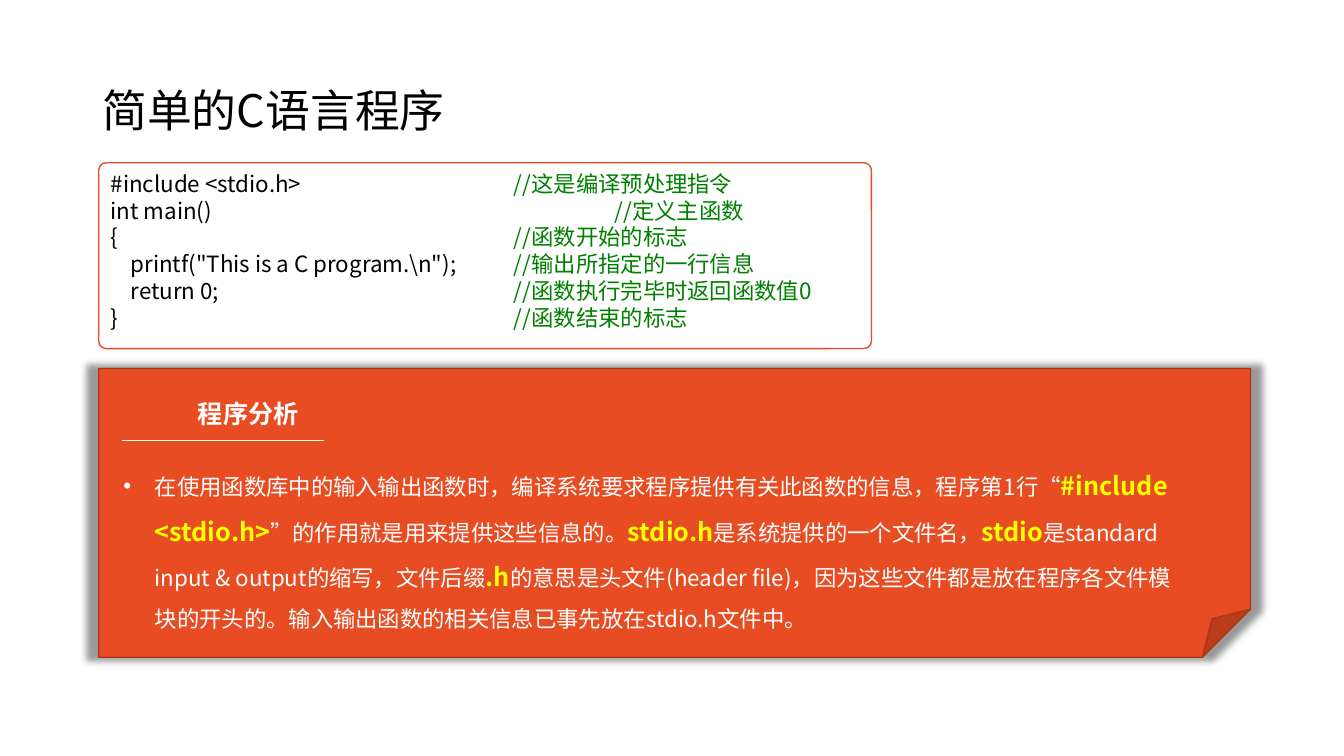
from dataclasses import dataclass
from typing import Optional

from lxml import etree
from pptx import Presentation
from pptx.dml.color import RGBColor
from pptx.enum.shapes import MSO_CONNECTOR, MSO_SHAPE
from pptx.enum.text import MSO_ANCHOR, PP_ALIGN
from pptx.oxml.ns import qn
from pptx.util import Emu, Pt

ROUNDED, FOLDED = MSO_SHAPE.ROUNDED_RECTANGLE, MSO_SHAPE.FOLDED_CORNER
STRAIGHT = MSO_CONNECTOR.STRAIGHT
TOP, MIDDLE = MSO_ANCHOR.TOP, MSO_ANCHOR.MIDDLE
LEFT, JUSTIFY = PP_ALIGN.LEFT, PP_ALIGN.JUSTIFY
EMU_PER_PX = 9525


@dataclass(frozen=True)
class Theme:
    font: str = "Noto Sans CJK SC"
    white: str = "FFFFFF"
    black: str = "000000"
    comment: str = "008000"
    accent: str = "E84C22"
    accent_dark: str = "AC3819"
    keyword: str = "FFFF00"
    title_size: int = 32
    heading_size: int = 18
    body_size: int = 16


THEME = Theme()


@dataclass(frozen=True)
class Box:
    left: int
    top: int
    width: int
    height: int


@dataclass(frozen=True)
class CodeLine:
    code: str
    comment: str
    comment_tab: int = 384


@dataclass(frozen=True)
class Span:
    text: str
    keyword: bool = False


TITLE_BOX = Box(88, 38, 1104, 139)
CODE_BOX = Box(94, 155, 736, 177)
PANEL_BOX = Box(94, 351, 1097, 275)
HEADING_BOX = Box(179, 375, 131, 44)
RULE_BOX = Box(116, 419, 193, 0)
ANALYSIS_BOX = Box(108, 429, 1023, 180)
BULLET_INDENT = 30

CODE_LINES = [
    CodeLine("#include <stdio.h>", "//这是编译预处理指令"),
    CodeLine("int main()", "//定义主函数", 480),
    CodeLine("{", "//函数开始的标志"),
    CodeLine('    printf("This is a C program.\\n");', "//输出所指定的一行信息"),
    CodeLine("    return 0;", "//函数执行完毕时返回函数值0"),
    CodeLine("}", "//函数结束的标志"),
]

ANALYSIS = [
    Span("在使用函数库中的输入输出函数时，编译系统要求程序提供有关此函数的信息，程序第1行“"),
    Span("#include <stdio.h>", True),
    Span("”的作用就是用来提供这些信息的。"),
    Span("stdio.h", True),
    Span("是系统提供的一个文件名，"),
    Span("stdio", True),
    Span("是standard input & output的缩写，文件后缀"),
    Span(".h", True),
    Span("的意思是头文件(header file)，因为这些文件都是放在程序各文件模块的开头的。"
         "输入输出函数的相关信息已事先放在stdio.h文件中。"),
]


def px(length: int) -> Emu:
    return Emu(length * EMU_PER_PX)


def place(box: Box) -> tuple[Emu, Emu, Emu, Emu]:
    return px(box.left), px(box.top), px(box.width), px(box.height)


def rgb(color: str) -> RGBColor:
    return RGBColor.from_string(color)


def add_node(parent, tag: str, **attributes: str):
    return etree.SubElement(parent, qn(tag), attributes)


def set_font(paragraph, size: int, color: str, bold: bool = False) -> None:
    """Set the paragraph font for both Latin and East Asian text."""
    font = paragraph.font
    font.name, font.size, font.bold = THEME.font, Pt(size), bold
    font.color.rgb = rgb(color)
    defaults = paragraph._p.pPr.find(qn("a:defRPr"))
    add_node(defaults, "a:ea", typeface=THEME.font)


def add_run(paragraph, text: str, color: Optional[str] = None):
    run = paragraph.add_run()
    run.text = text
    if color:
        run.font.color.rgb = rgb(color)
    return run


def add_text_box(slide, box: Box, anchor=TOP):
    """Add a wrapping text box and return its first paragraph."""
    frame = slide.shapes.add_textbox(*place(box)).text_frame
    frame.word_wrap = True
    frame.vertical_anchor = anchor
    return frame.paragraphs[0]


def add_panel(slide, kind, box: Box, fill: str, line: str):
    shape = slide.shapes.add_shape(kind, *place(box))
    shape.shadow.inherit = False
    shape.fill.solid()
    shape.fill.fore_color.rgb = rgb(fill)
    shape.line.color.rgb = rgb(line)
    shape.line.width = Pt(1)
    return shape


def add_title(slide) -> None:
    paragraph = add_text_box(slide, TITLE_BOX, MIDDLE)
    paragraph.line_spacing = 0.9
    set_font(paragraph, THEME.title_size, THEME.black)
    add_run(paragraph, "简单的C语言程序")


def add_code(slide) -> None:
    shape = add_panel(slide, ROUNDED, CODE_BOX, THEME.white, THEME.accent)
    shape.adjustments[0] = 0.04
    frame = shape.text_frame
    frame.word_wrap = True
    frame.vertical_anchor = TOP
    for index, line in enumerate(CODE_LINES):
        paragraph = frame.add_paragraph() if index else frame.paragraphs[0]
        paragraph.alignment = LEFT
        tabs = add_node(paragraph._p.get_or_add_pPr(), "a:tabLst")
        add_node(tabs, "a:tab", pos=str(px(line.comment_tab)), algn="l")
        set_font(paragraph, THEME.body_size, THEME.black)
        add_run(paragraph, line.code + "\t")
        add_run(paragraph, line.comment, THEME.comment)


def add_glow_shadow(shape) -> None:
    """Give the shape a soft shadow slightly larger than itself."""
    effects = shape._element.spPr.find(qn("a:effectLst"))
    shadow = add_node(effects, "a:outerShdw", blurRad=str(Pt(5)), sx="102000",
                      sy="102000", algn="ctr", rotWithShape="0")
    color = add_node(shadow, "a:srgbClr", val=THEME.black)
    add_node(color, "a:alpha", val="40000")


def add_heading(slide) -> None:
    paragraph = add_text_box(slide, HEADING_BOX)
    paragraph.alignment = JUSTIFY
    set_font(paragraph, THEME.heading_size, THEME.white, bold=True)
    add_run(paragraph, "程序分析")
    left, top, width, height = place(RULE_BOX)
    rule = slide.shapes.add_connector(STRAIGHT, left, top, left + width, top + height)
    rule.line.color.rgb = rgb(THEME.white)
    rule.line.width = Pt(0.5)
    add_node(rule._element.spPr, "a:effectLst")


def add_analysis(slide) -> None:
    paragraph = add_text_box(slide, ANALYSIS_BOX)
    paragraph.line_spacing = 1.5
    properties = paragraph._p.get_or_add_pPr()
    properties.set("marL", str(px(BULLET_INDENT)))
    properties.set("indent", str(px(-BULLET_INDENT)))
    add_node(add_node(properties, "a:buClr"), "a:srgbClr", val=THEME.white)
    add_node(properties, "a:buFont", typeface="Arial")
    add_node(properties, "a:buChar", char="•")
    set_font(paragraph, THEME.body_size, THEME.white)
    for span in ANALYSIS:
        run = add_run(paragraph, span.text, THEME.keyword if span.keyword else None)
        if span.keyword:
            run.font.size, run.font.bold = Pt(THEME.heading_size), True


def main() -> None:
    presentation = Presentation()
    presentation.slide_width, presentation.slide_height = px(1280), px(720)
    slide = presentation.slides.add_slide(presentation.slide_layouts[6])
    add_title(slide)
    add_code(slide)
    add_glow_shadow(add_panel(slide, FOLDED, PANEL_BOX, THEME.accent, THEME.accent_dark))
    add_heading(slide)
    add_analysis(slide)
    presentation.save("out.pptx")


if __name__ == "__main__":
    main()
